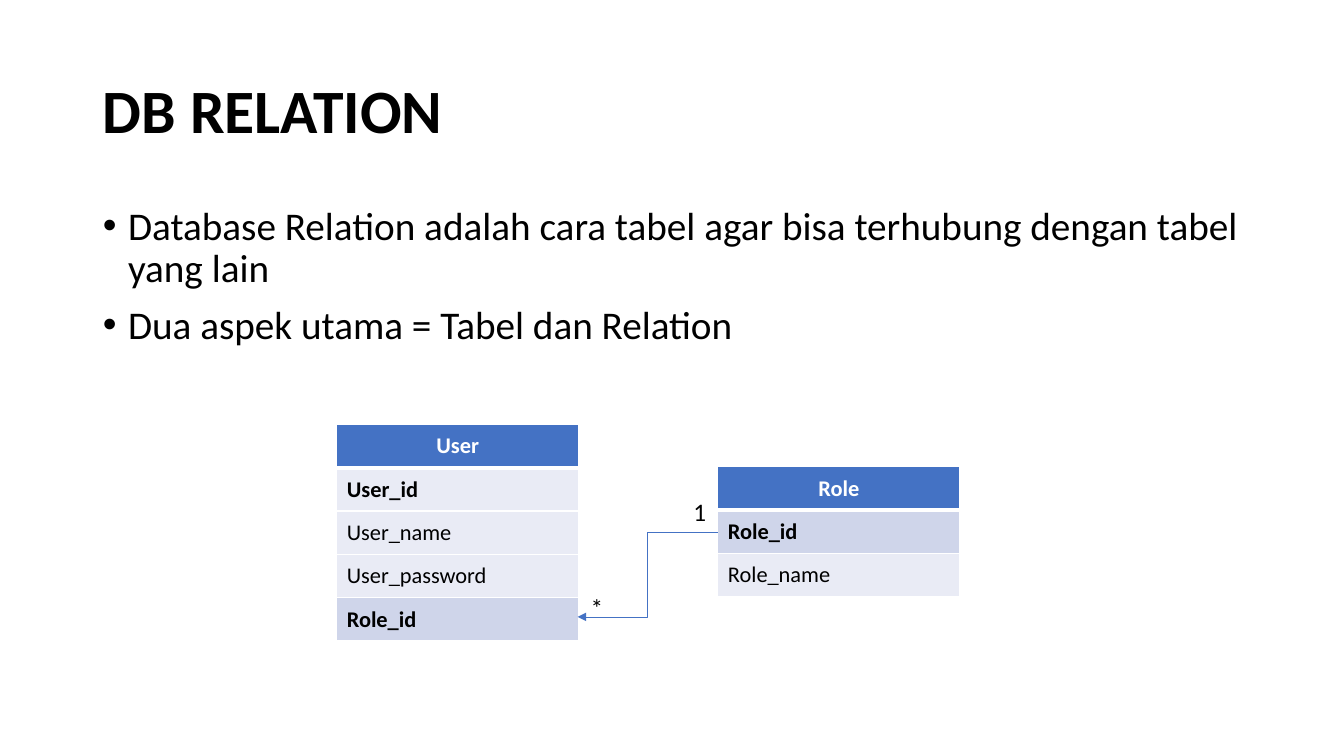
from lxml import etree
from pptx import Presentation
from pptx import util as u
from pptx.dml.color import RGBColor
from pptx.enum import shapes, text
from pptx.oxml import ns

HUES = {"ink": "000000", "white": "FFFFFF", "blue": "4472C4",
        "pale": "E9EBF5", "key": "CFD5EA"}
ROW = 0.43
WIDE = 2.4


class Deck:
    """Holds the style and the current slide, and draws its elements."""

    def __init__(self):
        self.font = "Calibri"
        self.prs = Presentation()
        self.prs.slide_width = u.Inches(13.33)
        self.prs.slide_height = u.Inches(7.5)
        self.slide = self.prs.slides.add_slide(self.prs.slide_layouts[1])

    def hue(self, name):
        return RGBColor.from_string(HUES[name])

    def put(self, par, words, size, hue="ink", bold=False, align="LEFT"):
        par.alignment = getattr(text.PP_ALIGN, align)
        run = par.add_run()
        run.text = words
        look = {"name": self.font, "size": u.Pt(size), "bold": bold}
        for key, val in look.items():
            setattr(run.font, key, val)
        run.font.color.rgb = self.hue(hue)

    def place(self, shape, box, anchor):
        for key, val in zip(("left", "top", "width", "height"), box):
            setattr(shape, key, u.Inches(val))
        frame = shape.text_frame
        look = {"word_wrap": True, "auto_size": text.MSO_AUTO_SIZE.NONE,
                "vertical_anchor": anchor}
        for key, val in look.items():
            setattr(frame, key, val)
        return frame

    def title(self, words, box):
        frame = self.place(self.slide.shapes.title, box, text.MSO_ANCHOR.MIDDLE)
        par = frame.paragraphs[0]
        par.line_spacing = 0.9
        self.put(par, words, 44, bold=True)

    def body(self, items, box):
        frame = self.place(self.slide.placeholders[1], box, text.MSO_ANCHOR.TOP)
        for i, words in enumerate(items):
            par = frame.add_paragraph() if i else frame.paragraphs[0]
            look = {"line_spacing": 0.9, "space_before": u.Pt(10)}
            for key, val in look.items():
                setattr(par, key, val)
            self.put(par, words, 28)
            props = par._p.get_or_add_pPr()
            props.set("marL", str(u.Inches(0.25)))
            props.set("indent", str(u.Inches(-0.25)))
            etree.SubElement(props, ns.qn("a:buChar")).set("char", "•")

    def edge(self, cell, head):
        props = cell._tc.get_or_add_tcPr()
        for i, side in enumerate(("lnL", "lnR", "lnT", "lnB")):
            line = etree.Element(ns.qn("a:" + side))
            line.set("w", str(u.Pt(3 if head and side == "lnB" else 1)))
            fill = etree.SubElement(line, ns.qn("a:solidFill"))
            etree.SubElement(fill, ns.qn("a:srgbClr")).set("val", HUES["white"])
            props.insert(i, line)

    def table(self, name, fields, keys, left, top):
        rows = [name] + fields
        spot = [u.Inches(v) for v in (left, top, WIDE, ROW * len(rows))]
        grid = self.slide.shapes.add_table(len(rows), 1, *spot).table
        for i, words in enumerate(rows):
            cell = grid.cell(i, 0)
            cell.vertical_anchor = text.MSO_ANCHOR.MIDDLE
            head = i == 0
            fill = "blue" if head else "key" if words == "Role_id" else "pale"
            cell.fill.solid()
            cell.fill.fore_color.rgb = self.hue(fill)
            self.put(cell.text_frame.paragraphs[0], words, 16,
                     "white" if head else "ink", head or words in keys,
                     "CENTER" if head else "LEFT")
            self.edge(cell, head)

    def link(self, *ends):
        line = self.slide.shapes.add_connector(
            shapes.MSO_CONNECTOR.ELBOW, *[u.Inches(v) for v in ends])
        line.line.color.rgb = self.hue("blue")
        line.line.width = u.Pt(0.5)
        tip = etree.SubElement(line.line._get_or_add_ln(), ns.qn("a:tailEnd"))
        tip.set("type", "triangle")
        etree.SubElement(line._element.spPr, ns.qn("a:effectLst"))

    def label(self, words, box):
        shape = self.slide.shapes.add_textbox(*[u.Inches(v) for v in box])
        frame = self.place(shape, box, text.MSO_ANCHOR.TOP)
        frame.auto_size = text.MSO_AUTO_SIZE.SHAPE_TO_FIT_TEXT
        self.put(frame.paragraphs[0], words, 18, align="CENTER")


def main():
    deck = Deck()
    deck.title("DB RELATION", (0.92, 0.4, 11.5, 1.45))
    deck.body(["Database Relation adalah cara tabel agar bisa terhubung "
               "dengan tabel yang lain",
               "Dua aspek utama = Tabel dan Relation"], (0.92, 2, 11.5, 1.75))
    keys = {"User_id", "Role_id"}
    deck.table("User", ["User_id", "User_name", "User_password", "Role_id"],
               keys, 3.34, 4.21)
    deck.table("Role", ["Role_id", "Role_name"], keys, 7.12, 4.63)
    deck.link(7.12, 5.28, 5.73, 6.12)
    deck.label("1", (6.77, 4.87, 0.34, 0.4))
    deck.label("*", (5.74, 5.83, 0.36, 0.4))
    deck.prs.save("out.pptx")


if __name__ == "__main__":
    main()
